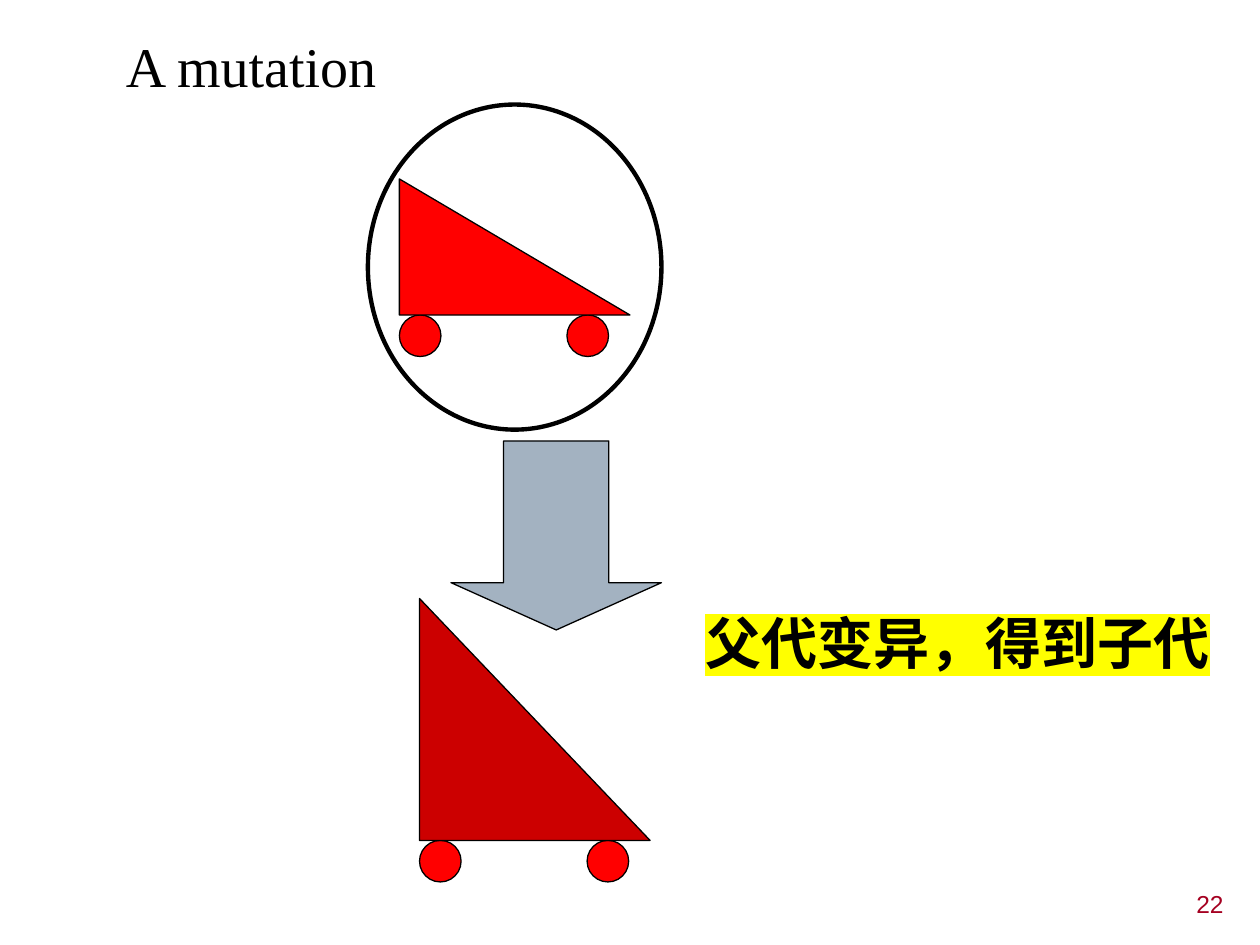
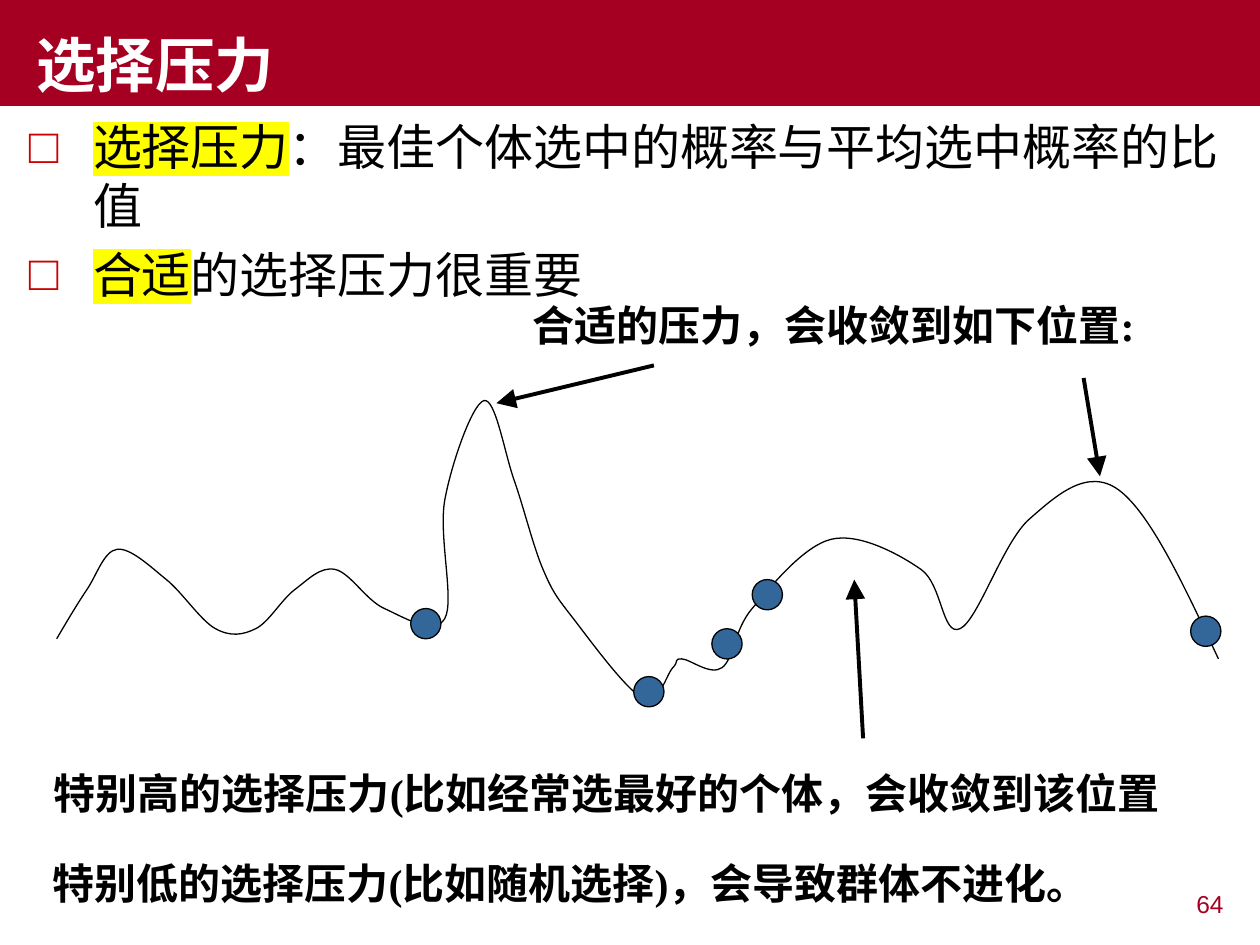
from lxml import etree
from pptx import Presentation
from pptx.dml.color import RGBColor
from pptx.enum import shapes, text
from pptx.oxml import ns
from pptx.util import Emu, Pt

PX = 9144  # one px is a hundredth of an inch

BLACK = RGBColor(0x00, 0x00, 0x00)
WHITE = RGBColor(0xFF, 0xFF, 0xFF)
CRIMSON = RGBColor(0xA5, 0x00, 0x21)
RED = RGBColor(0xFF, 0x00, 0x00)
DARK_RED = RGBColor(0xCC, 0x00, 0x00)
STEEL = RGBColor(0xA3, 0xB2, 0xC1)
BLUE = RGBColor(0x33, 0x66, 0x99)
YELLOW = RGBColor(0xFF, 0xFF, 0x00)

SANS, SERIF = "Arial", "Times New Roman"
LINE_HEIGHT = 1.2
BULLET_INDENT = 51
WHEEL = 33
CAR_WIDTH = 183
DOT = 24

# Fitness landscape: points the curve passes through, and the individuals on it
LANDSCAPE = [
    (45, 507), (69, 468), (93, 436), (132, 460), (171, 499), (203, 499),
    (234, 468), (266, 452), (305, 483), (353, 491), (353, 397), (384, 318),
    (408, 381), (431, 452), (455, 491), (510, 554), (534, 530), (541, 523),
    (573, 530), (597, 483), (660, 428), (731, 452), (762, 499), (817, 412),
    (888, 389), (967, 523),
]
INDIVIDUALS = [(597, 460), (503, 537), (945, 489), (326, 483), (565, 499)]


def px(*lengths):
    return [Emu(round(length * PX)) for length in lengths]


def sub(parent, tag, **attributes):
    return etree.SubElement(parent, ns.qn(tag), **attributes)


def add_bullet(paragraph, char, color):
    properties = paragraph._p.get_or_add_pPr()
    indent = BULLET_INDENT * PX
    properties.set("marL", str(indent))
    properties.set("indent", str(-indent))
    sub(sub(properties, "a:buClr"), "a:srgbClr", val=str(color))
    sub(properties, "a:buFont", typeface=SANS)
    sub(properties, "a:buChar", char=char)


def add_run(paragraph, words, size, font, color, bold, highlight):
    run = paragraph.add_run()
    run.text = words
    run.font.size, run.font.bold, run.font.name = Pt(size), bold, font
    run.font.color.rgb = color
    latin = run._r.get_or_add_rPr().find(ns.qn("a:latin"))
    # Chinese text is sans serif throughout
    latin.addnext(etree.Element(ns.qn("a:ea"), typeface=SANS))
    if highlight:
        marker = etree.Element(ns.qn("a:highlight"))
        sub(marker, "a:srgbClr", val=str(highlight))
        latin.addprevious(marker)


def write(frame, paragraphs, size=24, font=SERIF, color=BLACK, bold=False,
          align=text.PP_ALIGN.LEFT, anchor=text.MSO_ANCHOR.TOP,
          bullet=None, space_before=0, first_indent=0):
    """Each paragraph is a list of (words, highlight) runs."""
    frame.word_wrap = True
    frame.vertical_anchor = anchor
    for number, runs in enumerate(paragraphs):
        paragraph = frame.add_paragraph() if number else frame.paragraphs[0]
        if bullet:
            add_bullet(paragraph, bullet, DARK_RED)
        if first_indent:
            paragraph._p.get_or_add_pPr().set("indent", str(first_indent * PX))
        paragraph.alignment = align
        paragraph.line_spacing = Pt(size * LINE_HEIGHT)
        if number:
            paragraph.space_before = Pt(space_before)
        for words, highlight in runs:
            add_run(paragraph, words, size, font, color, bold, highlight)


def add_text(slide, box, paragraphs, **style):
    frame = slide.shapes.add_textbox(*px(*box)).text_frame
    write(frame, paragraphs, **style)


def paint(shape, fill=None, line=BLACK, weight=0.75):
    shape.shadow.inherit = False
    if fill is None:
        shape.fill.background()
    else:
        shape.fill.solid()
        shape.fill.fore_color.rgb = fill
    if line is None:
        shape.line.fill.background()
    else:
        shape.line.color.rgb = line
        shape.line.width = Pt(weight)


def add_shape(slide, kind, box, **look):
    shape = slide.shapes.add_shape(kind, *px(*box))
    paint(shape, **look)
    return shape


def add_arrow(slide, start, end):
    arrow = slide.shapes.add_connector(
        shapes.MSO_CONNECTOR.STRAIGHT, *px(*start, *end))
    arrow.line.color.rgb = BLACK
    arrow.line.width = Pt(2.25)
    sub(arrow.line._get_or_add_ln(), "a:tailEnd",
        type="triangle", w="lg", len="lg")
    sub(arrow._element.spPr, "a:effectLst")


def add_page_number(slide, number):
    add_text(slide, (764, 701, 217, 39), [[(str(number), None)]], size=14,
             font=SANS, color=CRIMSON, align=text.PP_ALIGN.RIGHT)


def add_title_band(slide, title):
    band = add_shape(slide, shapes.MSO_SHAPE.RECTANGLE, (0, 0, 1000, 84),
                     fill=CRIMSON, line=None)
    write(band.text_frame, [[(title, None)]], size=34, font=SANS, color=WHITE,
          bold=True, anchor=text.MSO_ANCHOR.BOTTOM, first_indent=19)


def add_car(slide, left, top, height, body):
    axle = top + height
    for wheel_left in (left, left + 133):
        add_shape(slide, shapes.MSO_SHAPE.OVAL,
                  (wheel_left, axle, WHEEL, WHEEL), fill=RED)
    add_shape(slide, shapes.MSO_SHAPE.RIGHT_TRIANGLE,
              (left, top, CAR_WIDTH, height), fill=body)


def bezier_handles(knots):
    """Yield both handles of each piece; tangents join the neighbouring knots."""
    def midpoint(a, b):
        return tuple((p + q) / 2 for p, q in zip(a, b))

    def handle(knot, start, end):
        return tuple(k + (e - s) / 6 for k, s, e in zip(knot, start, end))

    last = len(knots) - 1
    for i in range(last):
        a, d = knots[i], knots[i + 1]
        b = handle(a, knots[i - 1], d) if i else None
        c = handle(d, knots[i + 2], a) if i + 1 < last else None
        yield b or midpoint(a, c), c or midpoint(d, b)


def add_curve(slide, knots):
    knots = [(x * PX, y * PX) for x, y in knots]
    builder = slide.shapes.build_freeform(*knots[0])
    builder.add_line_segments(knots[1:], close=False)
    curve = builder.convert_to_shape()
    paint(curve)
    # Bend each straight piece
    pieces = list(curve._element.iter(ns.qn("a:lnTo")))
    for piece, handles in zip(pieces, bezier_handles(knots)):
        piece.tag = ns.qn("a:cubicBezTo")
        for place, (x, y) in enumerate(handles):
            point = etree.Element(ns.qn("a:pt"), x=str(round(x - curve.left)),
                                  y=str(round(y - curve.top)))
            piece.insert(place, point)


def build_mutation(slide):
    add_page_number(slide, 22)
    add_text(slide, (90, 20, 230, 63), [[("A mutation", None)]], size=32)

    # Parent, change and child
    add_car(slide, 317, 142, 108, RED)
    add_shape(slide, shapes.MSO_SHAPE.OVAL, (292, 83, 233, 258), weight=2.5)
    change = add_shape(slide, shapes.MSO_SHAPE.DOWN_ARROW,
                       (358, 350, 167, 150), fill=STEEL)
    change.adjustments[0], change.adjustments[1] = 0.5, 0.25
    add_car(slide, 333, 475, 192, DARK_RED)

    add_text(slide, (550, 478, 430, 64), [[("父代变异，得到子代", YELLOW)]],
             size=32, font=SANS, bold=True)


def build_selection_pressure(slide):
    add_page_number(slide, 64)
    add_title_band(slide, "选择压力")
    add_text(slide, (13, 88, 971, 567), [
        [("选择压力", YELLOW), ("：最佳个体选中的概率与平均选中概率的比值", None)],
        [("合适", YELLOW), ("的选择压力很重要", None)],
    ], size=28, bullet="□", space_before=5.6)

    # Landscape with its individuals
    add_curve(slide, LANDSCAPE)
    for left, top in INDIVIDUALS:
        add_shape(slide, shapes.MSO_SHAPE.OVAL, (left, top, DOT, DOT), fill=BLUE)

    # Remarks and their arrows
    for box, remark in [
        ((32, 676, 917, 51), "特别低的选择压力(比如随机选择)，会导致群体不进化。"),
        ((33, 604, 931, 51), "特别高的选择压力(比如经常选最好的个体，会收敛到该位置"),
        ((413, 233, 520, 51), "合适的压力，会收敛到如下位置:"),
    ]:
        add_text(slide, box, [[(remark, None)]], bold=True)
    for start, end in [((685, 586), (678, 460)), ((519, 290), (394, 320)),
                       ((860, 300), (873, 378))]:
        add_arrow(slide, start, end)


def main():
    deck = Presentation()
    deck.slide_width, deck.slide_height = px(1000, 750)
    blank = deck.slide_layouts[6]
    for build in (build_mutation, build_selection_pressure):
        build(deck.slides.add_slide(blank))
    deck.save("out.pptx")


if __name__ == "__main__":
    main()
